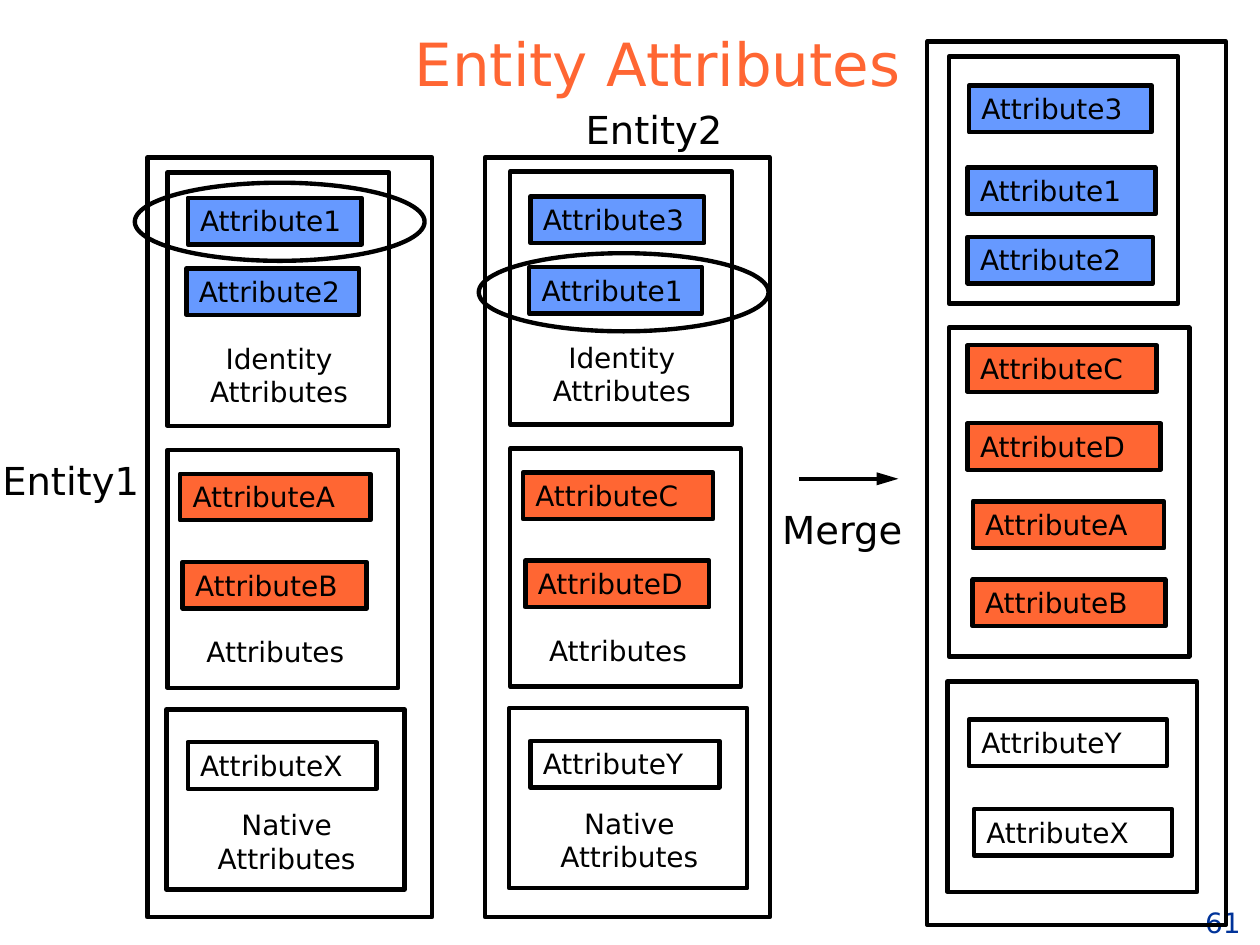
from lxml.etree import SubElement
from pptx import Presentation
from pptx.dml.color import RGBColor
from pptx.enum.shapes import MSO_CONNECTOR, MSO_SHAPE
from pptx.enum.text import MSO_ANCHOR, PP_ALIGN
from pptx.oxml.ns import qn
from pptx.util import Inches, Pt

BLACK = RGBColor(0x00, 0x00, 0x00)
BLUE = RGBColor(0x66, 0x99, 0xFF)
ORANGE = RGBColor(0xFF, 0x66, 0x33)
NAVY = RGBColor(0x00, 0x33, 0x99)
FONT = "DejaVu Sans"
SLIDE_WIDTH, SLIDE_HEIGHT = Inches(10), Inches(7.5)
COLUMNS, ROWS = 100, 75
LINE_WIDTH = Pt(2.5)
ITEM_HEIGHT = 3.7
LABEL_WIDTH = 14.1
GROUP_FILLS = (BLUE, ORANGE, None)


def across(columns):
    return round(SLIDE_WIDTH * columns / COLUMNS)


def down(rows):
    return round(SLIDE_HEIGHT * rows / ROWS)


def place(box):
    left, top, width, height = box
    return across(left), down(top), across(width), down(height)


def inside(outer, part):
    return (outer[0] + part[0], outer[1] + part[1], part[2], part[3])


def write(shape, text, size=16, color=BLACK, align=PP_ALIGN.LEFT,
          anchor=MSO_ANCHOR.TOP, wrap=True):
    frame = shape.text_frame
    frame.word_wrap = wrap
    frame.vertical_anchor = anchor
    paragraph = frame.paragraphs[0]
    paragraph.alignment = align
    run = paragraph.add_run()
    run.text = text
    run.font.name = FONT
    run.font.size = Pt(size)
    run.font.color.rgb = color


def add_label(slide, box, text, **style):
    write(slide.shapes.add_textbox(*place(box)), text, **style)


def add_outline(slide, box, fill=None, kind=MSO_SHAPE.RECTANGLE):
    shape = slide.shapes.add_shape(kind, *place(box))
    shape.shadow.inherit = False
    if fill is None:
        shape.fill.background()
    else:
        shape.fill.solid()
        shape.fill.fore_color.rgb = fill
    shape.line.color.rgb = BLACK
    shape.line.width = LINE_WIDTH
    return shape


def add_group(slide, box, border, items, fill):
    add_outline(slide, inside(box, border))
    for text, left, top, width in items:
        item = add_outline(slide, inside(box, (left, top, width, ITEM_HEIGHT)), fill)
        write(item, text)


def add_entity(slide, box, identity, attributes, native):
    borders = ((0.1, 0, 17.6, 20.1), (0.1, 22, 18.3, 18.9), (0, 42.6, 18.9, 14.3))
    slots = (
        ((1.7, 2, 13.8), (1.6, 7.6, 13.7)),
        ((1.1, 23.9, 15.1), (1.3, 30.9, 14.6)),
        ((1.7, 45.2, 15),),
    )
    for border, places, names, fill in zip(
            borders, slots, (identity, attributes, native), GROUP_FILLS):
        items = [(name, *slot) for name, slot in zip(names, places)]
        add_group(slide, box, border, items, fill)

    labels = (
        ("Identity Attributes", 1.9, 12.9, 6.4, PP_ALIGN.CENTER),
        ("Attributes", 2.2, 36.2, 3.7, PP_ALIGN.LEFT),
        ("Native Attributes", 2.5, 49.9, 6.4, PP_ALIGN.CENTER),
    )
    for text, left, top, height, align in labels:
        add_label(slide, inside(box, (left, top, LABEL_WIDTH, height)), text, align=align)


def add_merged_entity(slide, box):
    add_outline(slide, box)
    attributes = (("AttributeC", 3.2, 15), ("AttributeD", 3.2, 15.3),
                  ("AttributeA", 3.6, 15.2), ("AttributeB", 3.6, 15.3))
    groups = (
        ((1.7, 1.2, 18.2, 19.6),
         (("Attribute3", 3.3, 3.5, 14.5), ("Attribute1", 3.2, 10, 14.9),
          ("Attribute2", 3.2, 15.5, 14.7))),
        ((1.7, 22.7, 19.1, 26.1),
         [(text, left, 24.1 + 6.2 * index, width)
          for index, (text, left, width) in enumerate(attributes)]),
        ((1.6, 50.8, 19.8, 16.7),
         (("AttributeY", 3.3, 53.8, 15.7), ("AttributeX", 3.7, 60.9, 15.7))),
    )
    for (border, items), fill in zip(groups, GROUP_FILLS):
        add_group(slide, box, border, items, fill)


def add_merge_arrow(slide, box):
    left, top, width, height = box
    arrow = slide.shapes.add_connector(
        MSO_CONNECTOR.STRAIGHT,
        across(left + 2.3), down(top), across(left + 10.2), down(top))
    arrow.line.color.rgb = BLACK
    arrow.line.width = LINE_WIDTH
    SubElement(arrow.line._get_or_add_ln(), qn("a:tailEnd"),
               type="triangle", w="med", len="lg")
    SubElement(arrow._element.spPr, qn("a:effectLst"))
    add_label(slide, (left, top + 1.7, width, height - 1.7), "Merge", size=22)


def main():
    presentation = Presentation()
    presentation.slide_width = SLIDE_WIDTH
    presentation.slide_height = SLIDE_HEIGHT
    slide = presentation.slides.add_slide(presentation.slide_layouts[6])

    add_label(slide, (90.6, 71, 12.9, 4), "61", color=NAVY,
              align=PP_ALIGN.CENTER, anchor=MSO_ANCHOR.BOTTOM, wrap=False)
    add_label(slide, (9.7, 0, 85, 8.3), "Entity Attributes", size=34, color=ORANGE,
              align=PP_ALIGN.CENTER, anchor=MSO_ANCHOR.BOTTOM)

    add_entity(slide, (13.2, 13.7, 18.9, 56.9), ("Attribute1", "Attribute2"),
               ("AttributeA", "AttributeB"), ("AttributeX",))
    add_entity(slide, (40.4, 13.6, 18.9, 56.9), ("Attribute3", "Attribute1"),
               ("AttributeC", "AttributeD"), ("AttributeY",))
    for left in (11.7, 38.5):
        add_outline(slide, (left, 12.5, 22.6, 60.3))
    for left, top in ((38, 20.1), (10.7, 14.5)):
        add_outline(slide, (left, top, 23, 6.2), kind=MSO_SHAPE.OVAL)

    add_merged_entity(slide, (73.6, 3.3, 23.7, 70.1))
    add_merge_arrow(slide, (61.1, 38, 13.6, 6.4))
    for text, left, top in (("Entity1", -0.8, 35.8), ("Entity2", 45.5, 7.9)):
        add_label(slide, (left, top, 13.8, 4.7), text, size=22)

    presentation.save("out.pptx")


if __name__ == "__main__":
    main()
